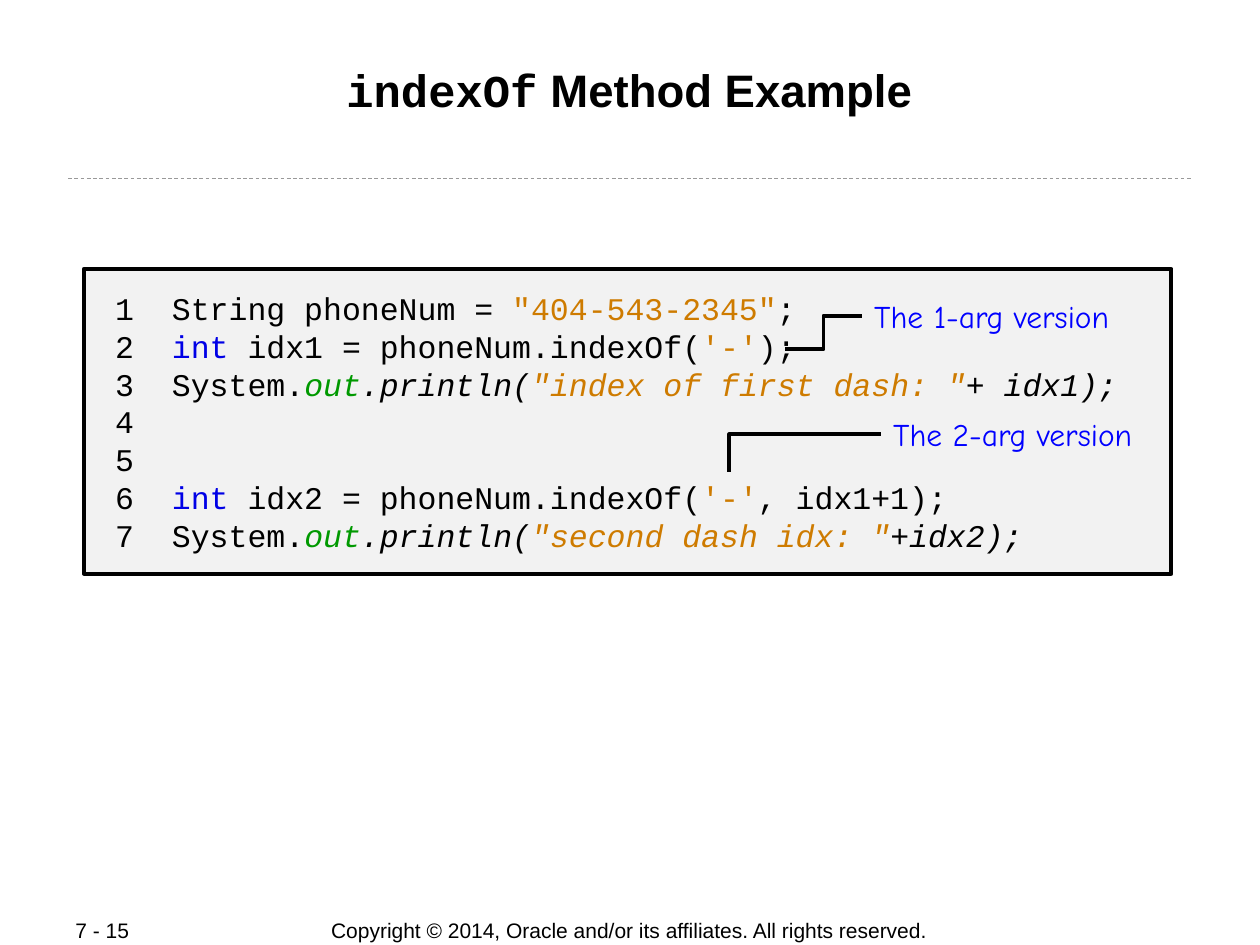
import pptx
import pptx.dml.color
import pptx.enum.dml
import pptx.enum.shapes
import pptx.enum.text
import pptx.oxml.ns
import pptx.util

Pt = pptx.util.Pt
ALIGN = pptx.enum.text.PP_ALIGN
ANCHOR = pptx.enum.text.MSO_ANCHOR
CODE_FONT = "Courier New"
COLOURS = {
    "plain": "000000",
    "string": "CE7B00",
    "keyword": "0000E6",
    "field": "009900",
    "callout": "0000FF",
    "panel": "F2F2F2",
    "rule": "999999",
}


def println(label, rest):
    """Tokens of a print statement, italic from the field name onwards."""
    return [
        ("System.", "plain", False),
        ("out", "field", True),
        (".println(", "plain", True),
        (label, "string", True),
        (rest, "plain", True),
    ]


def find_dash(variable, rest):
    """Tokens of a statement that looks up a dash."""
    return [
        ("int", "keyword", False),
        (f" {variable} = phoneNum.indexOf(", "plain", False),
        ("'-'", "string", False),
        (rest, "plain", False),
    ]


CODE_LINES = [
    [
        ("String phoneNum = ", "plain", False),
        ('"404-543-2345"', "string", False),
        (";", "plain", False),
    ],
    find_dash("idx1", ");"),
    println('"index of first dash: "', "+ idx1);"),
    [],
    [],
    find_dash("idx2", ", idx1+1);"),
    println('"second dash idx: "', "+idx2);"),
]


def rgb(name):
    return pptx.dml.color.RGBColor.from_string(COLOURS[name])


def add_run(paragraph, text, font, size, colour="plain", bold=False, italic=False):
    run = paragraph.add_run()
    run.text = text
    run.font.name = font
    run.font.size = Pt(size)
    run.font.bold = bold
    run.font.italic = italic
    run.font.color.rgb = rgb(colour)


def set_frame(frame, side, vertical, anchor):
    frame.margin_left = frame.margin_right = Pt(side)
    frame.margin_top = frame.margin_bottom = Pt(vertical)
    frame.vertical_anchor = anchor
    frame.word_wrap = True


def add_label(slide, box, runs, align=ALIGN.LEFT, anchor=ANCHOR.TOP):
    """Add a one-paragraph text box; each run is the arguments of add_run."""
    label = slide.shapes.add_textbox(*map(Pt, box))
    set_frame(label.text_frame, 7.2, 3.6, anchor)
    paragraph = label.text_frame.paragraphs[0]
    paragraph.alignment = align
    for run in runs:
        add_run(paragraph, *run)


def add_code_panel(slide, box):
    panel = slide.shapes.add_shape(
        pptx.enum.shapes.MSO_SHAPE.RECTANGLE, *map(Pt, box))
    panel.shadow.inherit = False
    panel.fill.solid()
    panel.fill.fore_color.rgb = rgb("panel")
    panel.line.color.rgb = rgb("plain")
    panel.line.width = Pt(2.25)
    frame = panel.text_frame
    set_frame(frame, 7.2, 0.72, ANCHOR.MIDDLE)
    for number, tokens in enumerate(CODE_LINES, start=1):
        paragraph = frame.paragraphs[0] if number == 1 else frame.add_paragraph()
        paragraph.alignment = ALIGN.LEFT
        add_run(paragraph, f" {number}  " if tokens else f" {number}", CODE_FONT, 18)
        for text, colour, italic in tokens:
            add_run(paragraph, text, CODE_FONT, 18, colour, italic=italic)


def add_line(slide, kind, start, end, colour, width):
    line = slide.shapes.add_connector(kind, *map(Pt, start + end))
    line.line.color.rgb = rgb(colour)
    line.line.width = Pt(width)
    properties = line._element.spPr
    properties.append(properties.makeelement(pptx.oxml.ns.qn("a:effectLst"), {}))
    return line


def add_footer(slide):
    top, height = 524.2, 14.8
    add_label(
        slide, (160, top, 399.3, height),
        [("Copyright © 2014, Oracle and/or its affiliates. All rights reserved.",
          "Arial", 12)],
        ALIGN.CENTER, ANCHOR.MIDDLE)
    add_label(slide, (36, top, 76.3, height), [("7 - 15", "Arial", 12)],
              anchor=ANCHOR.MIDDLE)


def main():
    presentation = pptx.Presentation()
    presentation.slide_width, presentation.slide_height = Pt(720), Pt(540)
    slide = presentation.slides.add_slide(presentation.slide_layouts[6])
    connector = pptx.enum.shapes.MSO_CONNECTOR

    add_footer(slide)
    rule = add_line(slide, connector.STRAIGHT, (39, 102), (681, 102), "rule", 0.5)
    rule.line.dash_style = pptx.enum.dml.MSO_LINE.DASH

    add_code_panel(slide, (48, 153.6, 621.4, 174.2))
    add_label(slide, (48, 31.7, 623.5, 69),
              [("indexOf", CODE_FONT, 26, "plain", True),
               (" Method Example", "Arial", 26, "plain", True)], ALIGN.CENTER)

    add_label(slide, (492.5, 166.3, 163.4, 28.8),
              [("The 1-arg version", "Comic Neue", 18, "callout")])
    add_label(slide, (503.3, 233.6, 157, 50.4),
              [("The 2-arg version", "Comic Neue", 18, "callout")])
    add_line(slide, connector.ELBOW, (448.6, 199.6), (492.5, 180.6), "plain", 2.25)
    corner = add_line(
        slide, connector.ELBOW, (503.3, 248.3), (416.7, 270), "plain", 2.25)
    corner._element.spPr.prstGeom.set("prst", "bentConnector2")

    presentation.save("out.pptx")


if __name__ == "__main__":
    main()
